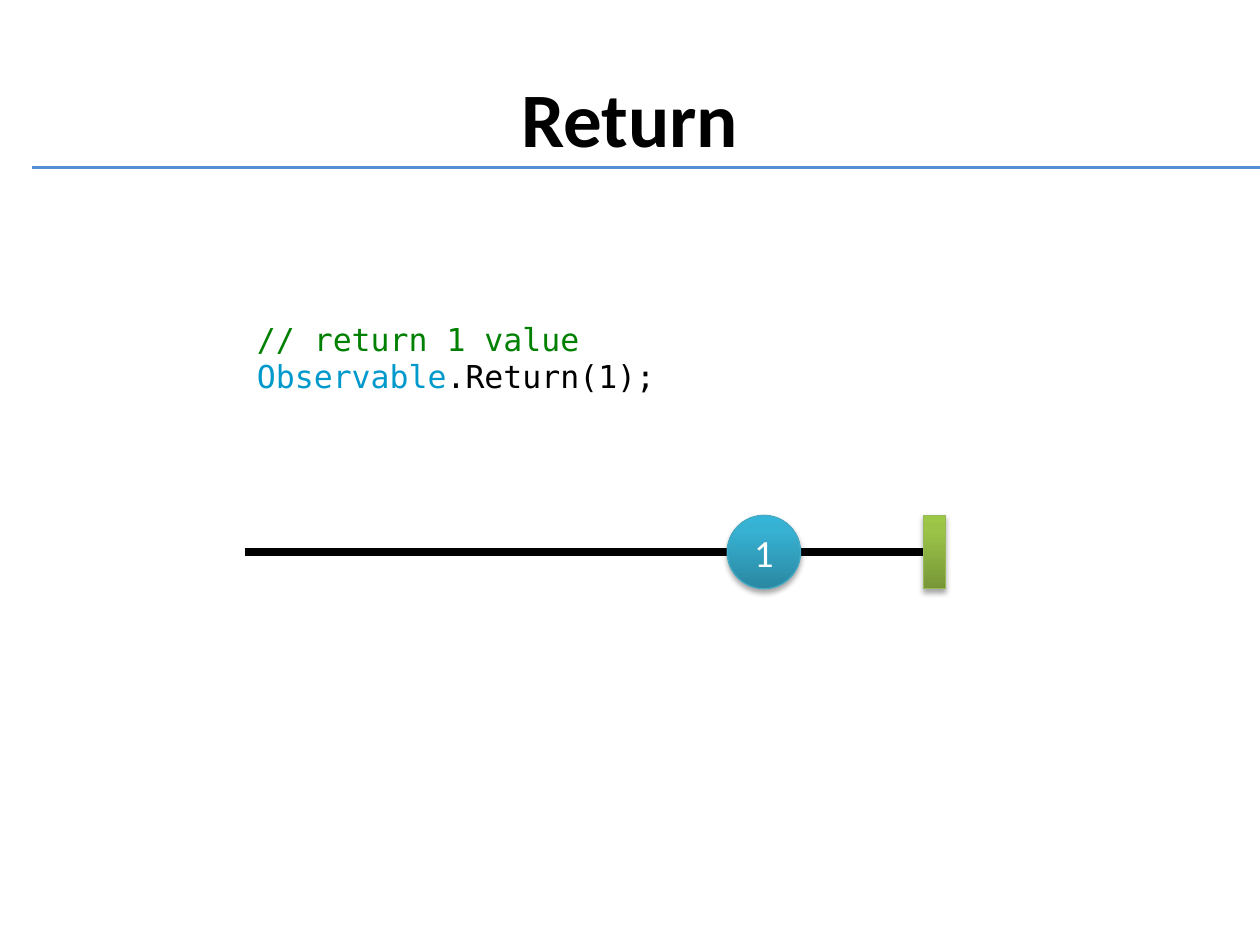
"""Build the slide that explains Return with a marble diagram."""
from copy import deepcopy

from lxml import etree
from pptx import Presentation
from pptx import util as u
from pptx.dml import color
from pptx.enum import shapes, text
from pptx.oxml import ns

BLACK = "000000"
CENTRE = text.PP_ALIGN.CENTER
LEFT = text.PP_ALIGN.LEFT
TITLE = {"size": u.Pt(44), "name": "Calibri", "bold": True}
CODE = {"size": u.Pt(18), "name": "DejaVu Sans Mono"}
VALUE = {"size": u.Pt(22), "name": "Calibri"}

TEXTS = [
    ((1.27, 0.76, 22.86, 3.18), "MIDDLE", CENTRE, TITLE, [[("Return", BLACK)]]),
    ((4.93, 6.32, 14.76, 1.8), "TOP", LEFT, CODE,
     [[("// return 1 value", "008000")],
      [("Observable", "0099CC"), (".Return(1);", BLACK)]]),
]
RULE = (0.64, 25.4, 3.38, "558ED5", 2)
AXIS_Y = 11.13
AXIS = (4.93, 18.62, AXIS_Y, BLACK, 5)
MARBLE_HEIGHT = 1.48
STOPS = (0, 0.8, 1)
MARBLES = {
    "value": ("OVAL", 14.66, 1.48, ("2A88A2", "37B1D2", "34B4D6"), "46AAC5"),
    "end": ("RECTANGLE", 18.62, 0.44, ("779737", "9BC348", "9DC746"), "98B955"),
}


def rgb(value):
    return color.RGBColor.from_string(value)


def write(frame, anchor, alignment, style, lines):
    frame.word_wrap = True
    frame.vertical_anchor = getattr(text.MSO_ANCHOR, anchor)
    for index, line in enumerate(lines):
        paragraph = frame.add_paragraph() if index else frame.paragraphs[0]
        paragraph.alignment = alignment
        for words, tint in line:
            run = paragraph.add_run()
            run.text = words
            run.font.color.rgb = rgb(tint)
            for name, value in style.items():
                setattr(run.font, name, value)


def add_line(slide, left, right, top, tint, width):
    line = slide.shapes.add_connector(
        shapes.MSO_CONNECTOR.STRAIGHT, u.Cm(left), u.Cm(top), u.Cm(right), u.Cm(top))
    line.line.color.rgb = rgb(tint)
    line.line.width = u.Pt(width)
    etree.SubElement(line._element.spPr, ns.qn("a:effectLst"))
    return line


def add_shadow(shape):
    shape.shadow.inherit = False
    effects = shape._element.spPr.find(ns.qn("a:effectLst"))
    shadow = etree.SubElement(effects, ns.qn("a:outerShdw"), blurRad="40000",
                              dist="23000", dir="5400000", rotWithShape="0")
    tint = etree.SubElement(shadow, ns.qn("a:srgbClr"), val=BLACK)
    etree.SubElement(tint, ns.qn("a:alpha"), val="35000")


def add_marble(slide, kind, left, width, tints, outline):
    shape = slide.shapes.add_shape(
        getattr(shapes.MSO_SHAPE, kind), u.Cm(left), u.Cm(AXIS_Y - MARBLE_HEIGHT / 2),
        u.Cm(width), u.Cm(MARBLE_HEIGHT))
    shape.fill.gradient()
    shape.fill.gradient_angle = 90
    stops = shape._element.spPr.find(".//" + ns.qn("a:gsLst"))
    stops.append(deepcopy(stops[0]))
    for stop, position, tint in zip(shape.fill.gradient_stops, STOPS, tints):
        stop.position = position
        stop.color.rgb = rgb(tint)
    shape.line.color.rgb = rgb(outline)
    shape.line.width = u.Pt(0.75)
    add_shadow(shape)
    return shape


def main():
    presentation = Presentation()
    presentation.slide_width, presentation.slide_height = u.Cm(25.4), u.Cm(19.05)
    slide = presentation.slides.add_slide(presentation.slide_layouts[6])
    for box, *content in TEXTS:
        write(slide.shapes.add_textbox(*map(u.Cm, box)).text_frame, *content)
    axis = add_line(slide, *AXIS)
    marbles = {name: add_marble(slide, *marble) for name, marble in MARBLES.items()}
    axis.end_connect(marbles["end"], 1)
    write(marbles["value"].text_frame, "MIDDLE", CENTRE, VALUE, [[("1", "FFFFFF")]])
    add_line(slide, *RULE)
    presentation.save("out.pptx")


if __name__ == "__main__":
    main()
